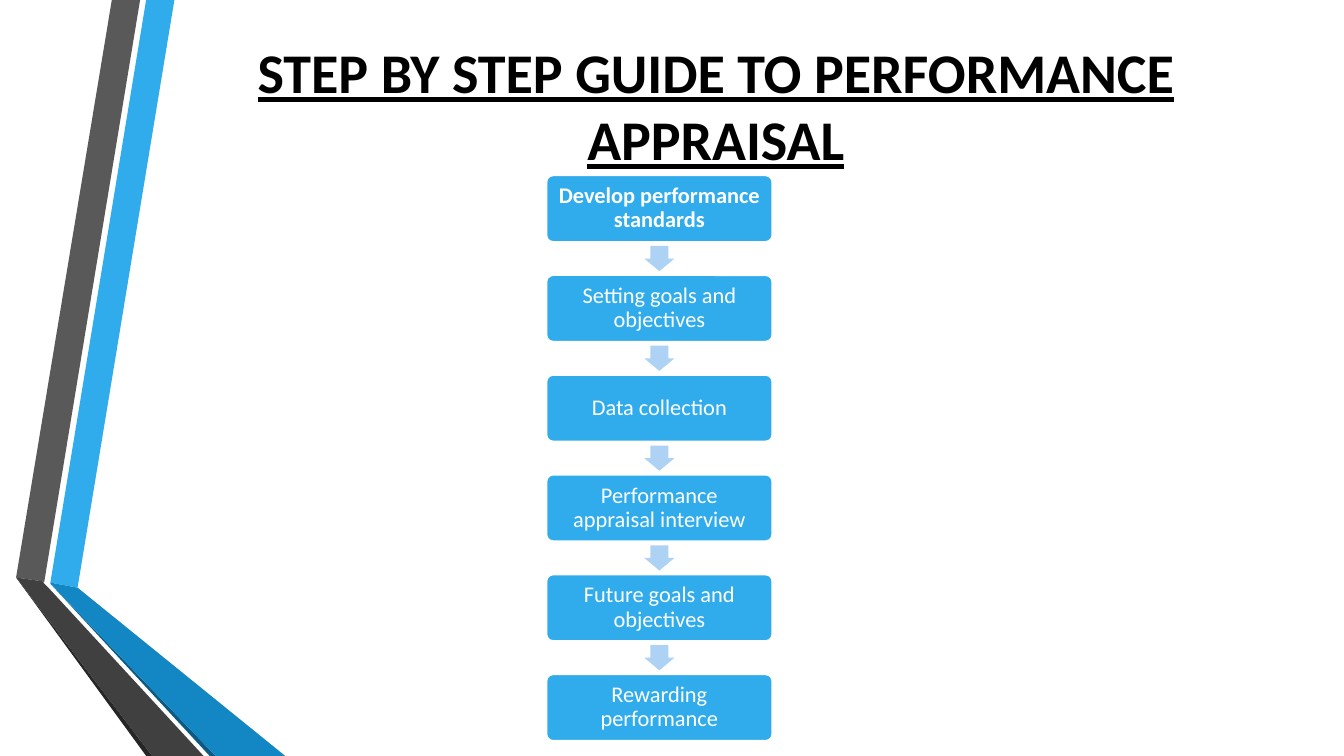
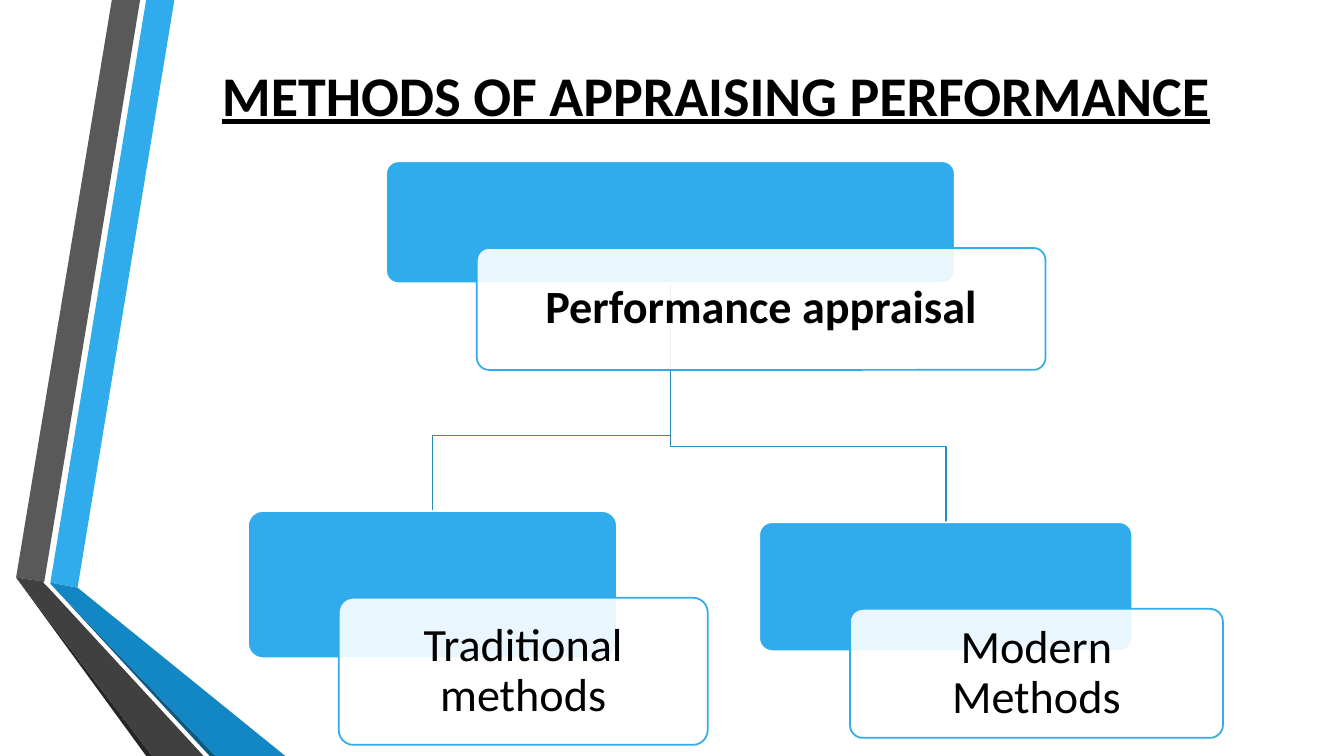
from dataclasses import dataclass

from lxml.etree import SubElement
from pptx import Presentation
from pptx.dml.color import RGBColor
from pptx.enum.shapes import MSO_SHAPE
from pptx.enum.text import MSO_ANCHOR, MSO_AUTO_SIZE, PP_ALIGN
from pptx.oxml.ns import qn
from pptx.shapes.autoshape import Shape
from pptx.slide import Slide, SlideLayout
from pptx.text.text import TextFrame
from pptx.util import Emu, Pt

PX = 9144  # 100 px to the inch
FONT = "Calibri"
LINE_WIDTH = Pt(1.25)
COLORS = {
    "blue": "30ACEC",
    "mid_blue": "1287C3",
    "dark_blue": "0C5A82",
    "edge_blue": "268ABD",
    "pale_blue": "AED2F4",
    "grey": "595959",
    "dark_grey": "404040",
    "darkest_grey": "262626",
    "white": "FFFFFF",
    "black": "000000",
}
Points = list[tuple[int, int]]


@dataclass(frozen=True)
class Box:
    x: int
    y: int
    w: int
    h: int

    @property
    def center_x(self) -> int:
        return self.x + self.w // 2

    @property
    def bottom(self) -> int:
        return self.y + self.h

    def shifted(self, dx: int, dy: int) -> "Box":
        return Box(self.x + dx, self.y + dy, self.w, self.h)


@dataclass(frozen=True)
class Band:
    color: str
    points: Points


@dataclass(frozen=True)
class Card:
    text: str
    box: Box
    bold: bool = False


BANDS = [
    Band("blue", [(50, 578), (77, 583), (173, 0), (145, 0)]),
    Band("grey", [(139, 0), (111, 0), (16, 573), (44, 577)]),
    Band("darkest_grey", [(16, 573), (145, 750), (151, 750)]),
    Band("dark_blue", [(50, 579), (208, 750), (214, 750)]),
    Band("mid_blue", [(50, 579), (214, 750), (283, 750), (77, 583), (50, 578)]),
    Band("dark_grey", [(202, 750), (48, 583), (43, 578), (44, 577), (16, 573), (151, 750)]),
]

STEPS = [
    "Develop performance standards",
    "Setting goals and objectives",
    "Data collection",
    "Performance appraisal interview",
    "Future goals and objectives",
    "Rewarding performance",
]
FIRST_STEP = Box(542, 174, 224, 66)
STEP_PITCH = 99
ARROW_W, ARROW_H = 30, 25

ROOT = Card("Performance appraisal", Box(383, 160, 564, 121), bold=True)
METHODS = [
    Card("Traditional methods", Box(246, 507, 366, 146)),
    Card("Modern Methods", Box(753, 518, 370, 128)),
]
CARD_DX, CARD_DY = 90, 86
EDGE_DROP = 75


def px(n: int) -> Emu:
    return Emu(n * PX)


def rgb(name: str) -> RGBColor:
    return RGBColor.from_string(COLORS[name])


def paint(sp: Shape, fill: str | None, line: str | None = None) -> None:
    sp.shadow.inherit = False
    if fill:
        sp.fill.solid()
        sp.fill.fore_color.rgb = rgb(fill)
    else:
        sp.fill.background()
    if line:
        sp.line.color.rgb = rgb(line)
        sp.line.width = LINE_WIDTH
    else:
        sp.line.fill.background()


def set_alpha(sp: Shape, percent: int) -> None:
    color = sp._element.spPr.find(qn("a:solidFill")).find(qn("a:srgbClr"))
    SubElement(color, qn("a:alpha")).set("val", str(percent * 1000))


def add_outline(slide: Slide, points: Points, closed: bool) -> Shape:
    builder = slide.shapes.build_freeform(*points[0], scale=float(PX))
    builder.add_line_segments(points[1:], close=closed)
    return builder.convert_to_shape()


def add_preset(slide: Slide, kind: MSO_SHAPE, box: Box, adjustments: list[float]) -> Shape:
    sp = slide.shapes.add_shape(kind, px(box.x), px(box.y), px(box.w), px(box.h))
    for i, value in enumerate(adjustments):
        sp.adjustments[i] = value
    return sp


def add_round_box(slide: Slide, box: Box, fill: str, line: str) -> Shape:
    sp = add_preset(slide, MSO_SHAPE.ROUNDED_RECTANGLE, box, [0.1])
    paint(sp, fill, line)
    return sp


def write(tf: TextFrame, text: str, size: int, color: str, bold: bool,
          underline: bool = False, spacing: float = 1.0) -> None:
    tf.word_wrap = True
    tf.vertical_anchor = MSO_ANCHOR.MIDDLE
    p = tf.paragraphs[0]
    p.alignment = PP_ALIGN.CENTER
    p.line_spacing = spacing
    r = p.add_run()
    r.text = text
    r.font.name = FONT
    r.font.size = Pt(size)
    r.font.bold = bold
    r.font.underline = underline
    r.font.color.rgb = rgb(color)


def write_label(sp: Shape, text: str, size: int, color: str, bold: bool, inset: int) -> None:
    tf = sp.text_frame
    tf.margin_left = tf.margin_right = tf.margin_top = tf.margin_bottom = px(inset)
    write(tf, text, size, color, bold, spacing=0.9)


def add_bands(slide: Slide, layout: SlideLayout) -> None:
    """Draw the side bands and move them to the layout, behind its placeholders."""
    for i, band in enumerate(BANDS):
        sp = add_outline(slide, band.points, closed=True)
        paint(sp, band.color)
        sp._element.nvSpPr.cNvPr.set("id", str(100 + i))
        layout.shapes._spTree.insert(2 + i, sp._element)


def set_title(slide: Slide, text: str, box: Box, bottom_inset: int = 5) -> None:
    title = slide.shapes.title
    title.left, title.top = px(box.x), px(box.y)
    title.width, title.height = px(box.w), px(box.h)
    tf = title.text_frame
    tf.auto_size = MSO_AUTO_SIZE.NONE
    tf.margin_bottom = px(bottom_inset)
    write(tf, text, 40, "black", bold=True, underline=True)


def add_steps(slide: Slide) -> None:
    for i, text in enumerate(STEPS):
        box = FIRST_STEP.shifted(0, i * STEP_PITCH)
        if i:
            gap = STEP_PITCH - box.h
            arrow_box = Box(box.center_x - ARROW_W // 2, box.y - (gap + ARROW_H) // 2,
                            ARROW_W, ARROW_H)
            arrow = add_preset(slide, MSO_SHAPE.DOWN_ARROW, arrow_box, [0.6, 0.5])
            paint(arrow, "pale_blue")
        sp = add_round_box(slide, box, "blue", "white")
        write_label(sp, text, 16, "white", bold=i == 0, inset=9)


def add_edge(slide: Slide, parent: Box, child: Box) -> None:
    bend = child.y - EDGE_DROP
    points = [(parent.center_x, parent.bottom), (parent.center_x, bend),
              (child.center_x, bend), (child.center_x, child.y)]
    paint(add_outline(slide, points, closed=False), None, "edge_blue")


def add_card(slide: Slide, card: Card) -> None:
    """Draw a blue plate with a translucent label overlapping its corner."""
    add_round_box(slide, card.box, "blue", "white")
    label = add_round_box(slide, card.box.shifted(CARD_DX, CARD_DY), "white", "blue")
    set_alpha(label, 90)
    write_label(label, card.text, 33, "black", card.bold, inset=18)


def main() -> None:
    prs = Presentation()
    prs.slide_width, prs.slide_height = px(1333), px(750)
    layout = prs.slide_layouts[5]

    guide = prs.slides.add_slide(layout)
    add_bands(guide, layout)
    set_title(guide, "STEP BY STEP GUIDE TO PERFORMANCE APPRAISAL", Box(162, 20, 1096, 168))
    add_steps(guide)

    methods = prs.slides.add_slide(layout)
    set_title(methods, "METHODS OF APPRAISING PERFORMANCE", Box(162, 31, 1096, 192),
              bottom_inset=73)
    for card in reversed(METHODS):
        add_edge(methods, ROOT.box, card.box)
    for card in [ROOT, *METHODS]:
        add_card(methods, card)

    prs.save("out.pptx")


if __name__ == "__main__":
    main()
